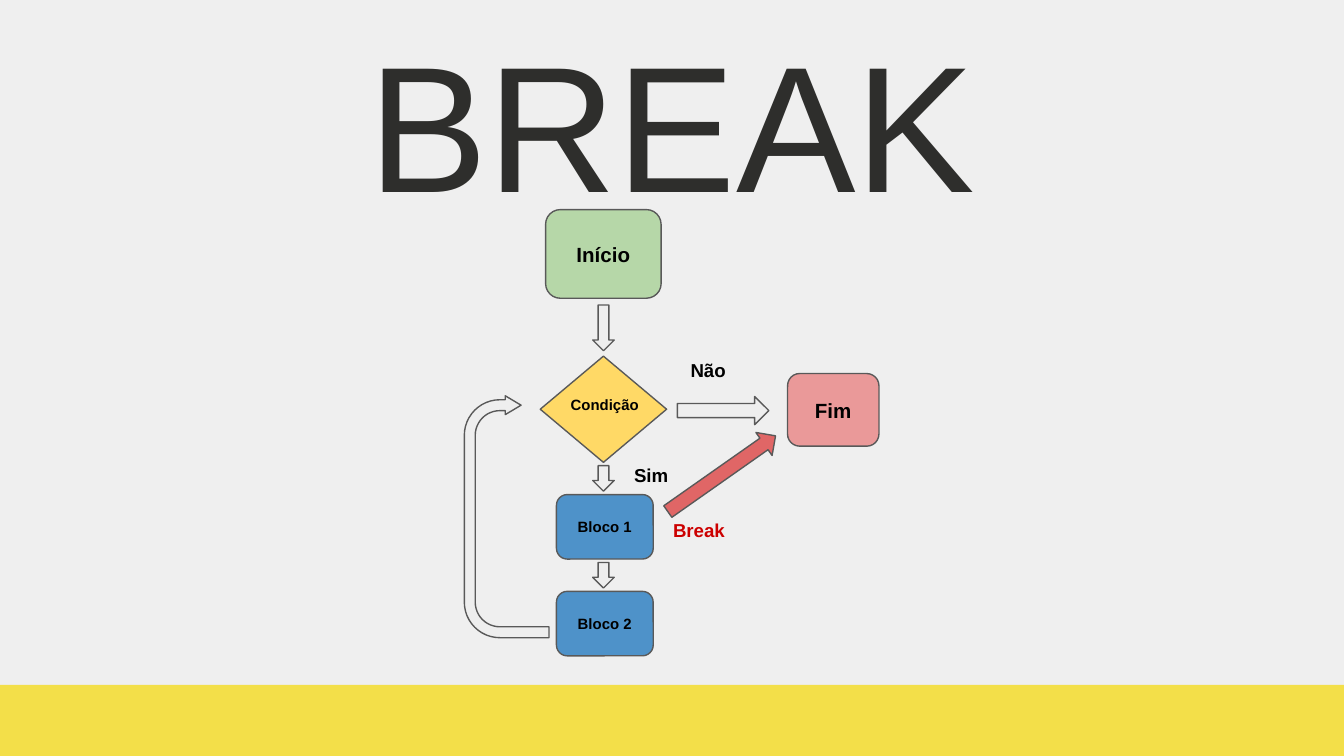
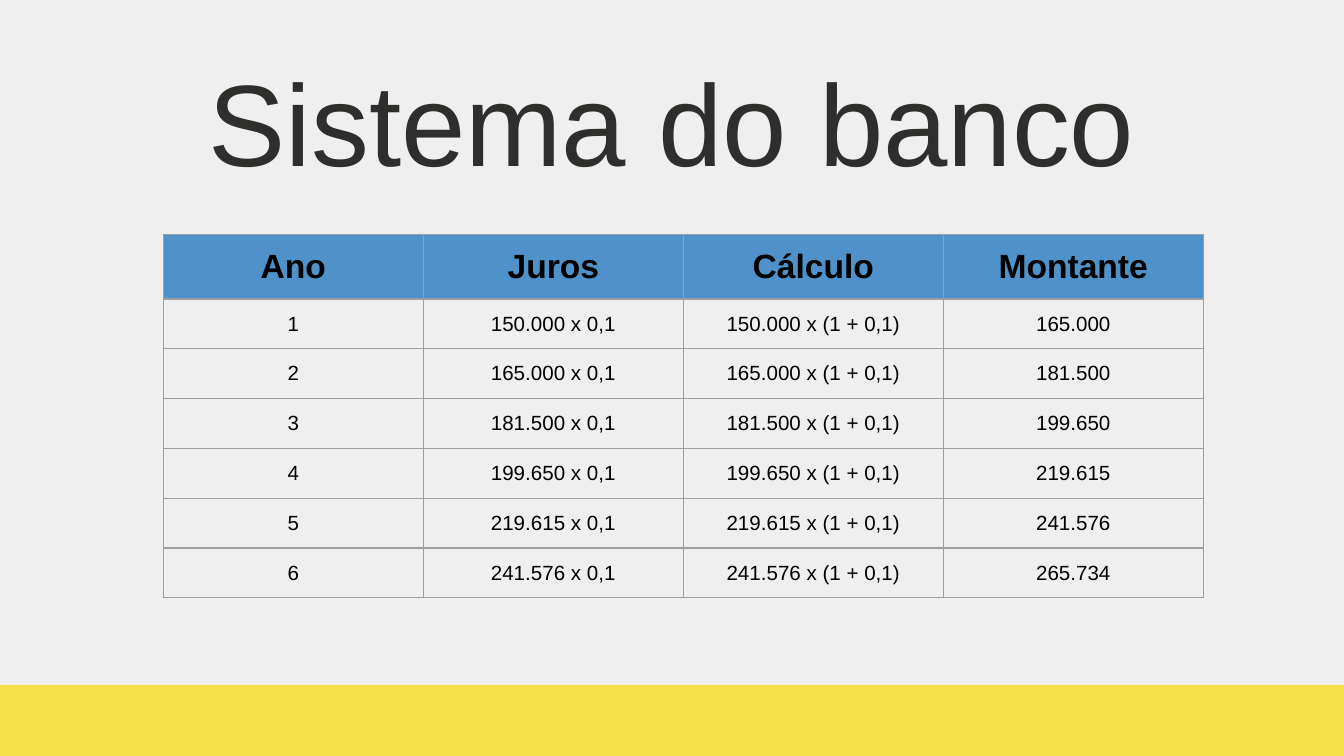
from pptx import Presentation
from pptx.dml.color import RGBColor
from pptx.enum.shapes import MSO_SHAPE as SHAPE
from pptx.enum.text import MSO_ANCHOR as ANCHOR, MSO_AUTO_SIZE as FIT, PP_ALIGN as ALIGN
from pptx.oxml import parse_xml
from pptx.oxml.ns import nsdecls
from pptx.util import Inches, Pt

WIDTH, HEIGHT = Inches(10), Inches(5.625)
UNIT = WIDTH / 100  # square grid: 100 columns across the slide
INSET = Inches(0.1)

BACKGROUND, BAND, TITLE = "EFEFEF", "F3DF49", "2E2E2C"
ARROW, OUTLINE, BORDER = "EEEEEE", "595959", "9E9E9E"
BLACK, BLUE, GREEN, YELLOW = "000000", "4E92C9", "B6D7A8", "FFD966"
PINK, RED, DARK_RED = "EA9999", "E06666", "CC0000"


def rgb(color):
    return RGBColor.from_string(color)


def units(*values):
    return [round(v * UNIT) for v in values]


def write(tf, text, size=11, color=BLACK, bold=False, align=ALIGN.CENTER,
          anchor=ANCHOR.TOP):
    tf.word_wrap = True
    tf.auto_size = FIT.NONE
    tf.vertical_anchor = anchor
    tf.margin_left = tf.margin_right = tf.margin_top = tf.margin_bottom = INSET
    p = tf.paragraphs[0]
    p.alignment = align
    r = p.add_run()
    r.text = text
    r.font.name, r.font.size, r.font.bold = "Arial", Pt(size), bold
    r.font.color.rgb = rgb(color)


def add_shape(slide, kind, box, fill, line=None, adjustments=(), rotation=0):
    sp = slide.shapes.add_shape(kind, *box)
    sp.shadow.inherit = False
    sp.fill.solid()
    sp.fill.fore_color.rgb = rgb(fill)
    if line:
        sp.line.color.rgb = rgb(line)
        sp.line.width = Pt(0.75)
    else:
        sp.line.fill.background()
    for i, value in enumerate(adjustments):
        sp.adjustments[i] = value
    sp.rotation = rotation
    return sp


def add_slide(prs, title, size, top):
    """Add a slide with the bottom band and a title starting at a grid row."""
    slide = prs.slides.add_slide(prs.slide_layouts[5])
    band = round(HEIGHT * 0.094)
    add_shape(slide, SHAPE.RECTANGLE, (0, HEIGHT - band, WIDTH, band), BAND)
    sp = slide.shapes.title
    sp.left, sp.top, sp.width, sp.height = units(12.15, top, 75.7, 15.6)
    write(sp.text_frame, title, size=size, color=TITLE)
    return slide


def flowchart(slide, left, top):
    """Draw the loop; every part is centred at grid units from left, top."""
    axis = 10.4
    step = 7.2

    def centred(x, y, w, h):
        return units(left + x - w / 2, top + y - h / 2, w, h)

    def part(kind, x, y, w, h, fill, **style):
        return add_shape(slide, kind, centred(x, y, w, h), fill, OUTLINE, **style)

    def node(text, x, y, w, h, fill, size=11):
        sp = part(SHAPE.ROUNDED_RECTANGLE, x, y, w, h, fill)
        write(sp.text_frame, text, size=size, bold=True, anchor=ANCHOR.MIDDLE)

    def arrow(x, y, length, thickness, fill=ARROW, rotation=0):
        part(SHAPE.RIGHT_ARROW, x, y, length, thickness, fill, rotation=rotation)

    def label(text, x, y, w, h, **style):
        tb = slide.shapes.add_textbox(*centred(x, y, w, h))
        write(tb.text_frame, text, bold=True, **style)

    node("Início", axis, 3.3, 8.6, 6.6, GREEN)
    part(SHAPE.DIAMOND, axis, 14.85, 9.4, 7.9, YELLOW)
    label("Condição", axis + 0.1, 14, 9.4, 2.4, size=8)
    node("Fim", 27.5, 14.9, 6.8, 5.4, PINK)
    for i in range(2):
        node(f"Bloco {i + 1}", axis + 0.1, 23.6 + i * step, 7.2, 4.8, BLUE, size=8)
        arrow(axis, 20 + i * step, 1.9, 1.6, rotation=90)

    arrow(axis, 8.8, 3.4, 1.6, rotation=90)
    arrow(19.3, 14.95, 6.8, 2.1)
    arrow(19.2, 19.65, 9.8, 2.1, fill=RED, rotation=324.9)
    part(SHAPE.U_TURN_ARROW, 3.2, 22.85, 18, 6.3, ARROW, rotation=270,
         adjustments=(0.129, 0.111, 0.187, 0.42, 0.671))

    for text, x, y, w, h, color in (
        ("Não", 20.6, 11.8, 9.4, 3.4, BLACK),
        ("Sim", 15.85, 18.95, 8.3, 2.1, BLACK),
        ("Break", 18.75, 23.05, 8.3, 2.1, DARK_RED),
    ):
        label(text, x, y, w, h, size=10, color=color, align=ALIGN.LEFT)


def set_borders(cell):
    tcPr = cell._tc.get_or_add_tcPr()
    for i, side in enumerate(("lnL", "lnR", "lnT", "lnB")):
        tcPr.insert(i, parse_xml(
            f'<a:{side} {nsdecls("a")} w="{Pt(0.75)}"><a:solidFill>'
            f'<a:srgbClr val="{BORDER}"/></a:solidFill></a:{side}>'))


def interest_table(slide, left, top, column, header_row, body_row):
    amounts = ["150.000", "165.000", "181.500", "199.650",
               "219.615", "241.576", "265.734"]
    rows = [("Ano", "Juros", "Cálculo", "Montante")]
    for year, (start, end) in enumerate(zip(amounts, amounts[1:]), 1):
        rows.append((str(year), f"{start} x 0,1", f"{start} x (1 + 0,1)", end))

    n_cols = len(rows[0])
    height = header_row + body_row * (len(rows) - 1)
    table = slide.shapes.add_table(
        len(rows), n_cols, *units(left, top, column * n_cols, height)).table
    table.first_row = table.horz_banding = False
    for i, values in enumerate(rows):
        header = i == 0
        table.rows[i].height = units(header_row if header else body_row)[0]
        for j, value in enumerate(values):
            cell = table.cell(i, j)
            cell.margin_left = cell.margin_right = INSET
            cell.margin_top = cell.margin_bottom = INSET
            if header:
                cell.fill.solid()
                cell.fill.fore_color.rgb = rgb(BLUE)
            else:
                cell.fill.background()
            set_borders(cell)
            write(cell.text_frame, value, size=18 if header else 11, bold=header)


def main():
    prs = Presentation()
    prs.slide_width, prs.slide_height = WIDTH, HEIGHT
    fill = prs.slide_master.background.fill
    fill.solid()
    fill.fore_color.rgb = rgb(BACKGROUND)

    flowchart(add_slide(prs, "BREAK", size=96, top=0), left=34.5, top=15.6)
    interest_table(add_slide(prs, "Sistema do banco", size=62, top=2.8),
                   left=12.15, top=17.45, column=19.35, header_row=4.4, body_row=3.6)
    prs.save("out.pptx")


if __name__ == "__main__":
    main()
